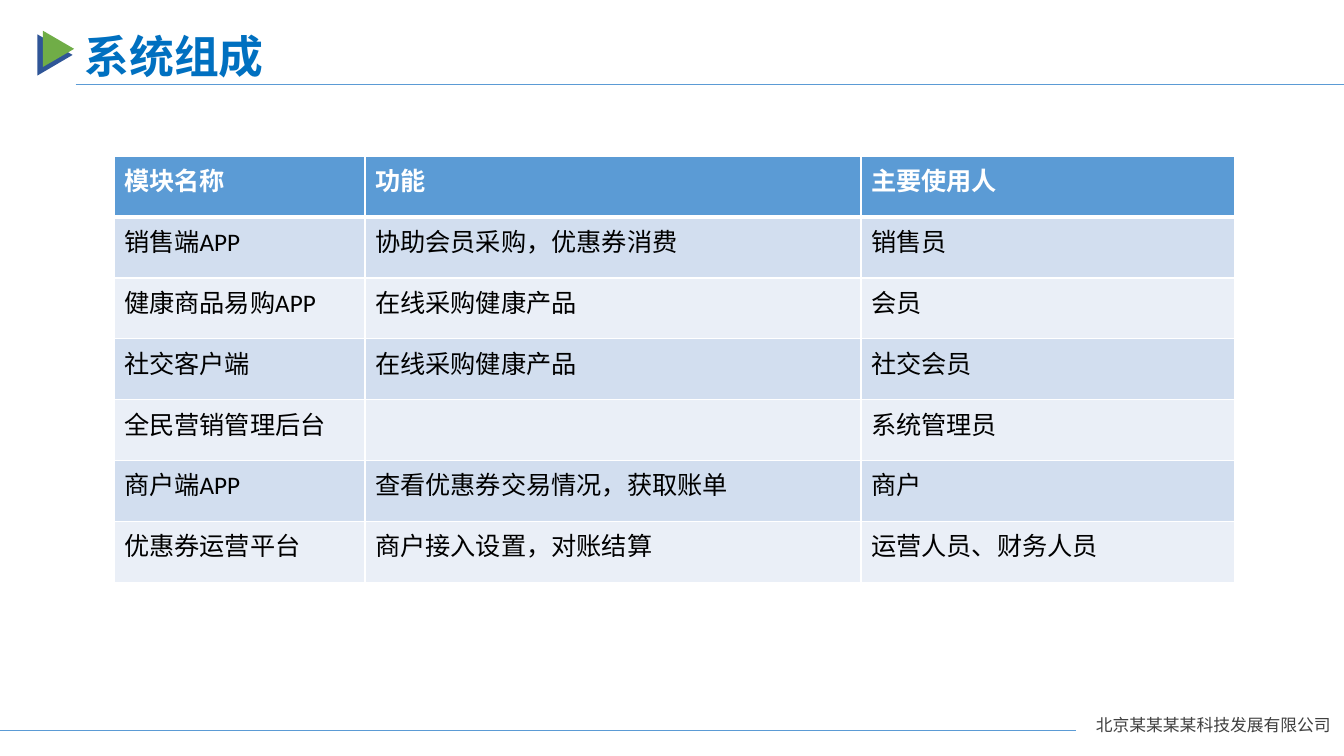
from lxml.etree import SubElement
from pptx import Presentation
from pptx.dml.color import RGBColor
from pptx.enum.shapes import MSO_CONNECTOR, MSO_SHAPE
from pptx.enum.text import MSO_AUTO_SIZE
from pptx.oxml.ns import qn
from pptx.util import Inches, Pt

WIDE, HIGH = 13.33, 7.5
CJK = "Noto Sans CJK SC"
BLUE = "5B9BD5"
WHITE = "FFFFFF"
BANDS = ["D2DEEF", "EAEFF7"]
COLS = [2.49, 4.92, 3.71]
ROWS = [
    ["模块名称", "功能", "主要使用人"],
    ["销售端APP", "协助会员采购，优惠券消费", "销售员"],
    ["健康商品易购APP", "在线采购健康产品", "会员"],
    ["社交客户端", "在线采购健康产品", "社交会员"],
    ["全民营销管理后台", "", "系统管理员"],
    ["商户端APP", "查看优惠券交易情况，获取账单", "商户"],
    ["优惠券运营平台", "商户接入设置，对账结算", "运营人员、财务人员"],
]


def color(code):
    return RGBColor.from_string(code)


def style(frame, size, code, font, bold=False):
    for para in frame.paragraphs:
        for run in para.runs:
            run.font.size = Pt(size)
            run.font.bold = bold
            run.font.name = font
            run.font.color.rgb = color(code)
            SubElement(run.font._element, qn("a:ea"), typeface=CJK)


def add_label(slide, box, text, size, code, bold=False, wrap=True):
    frame = slide.shapes.add_textbox(*map(Inches, box)).text_frame
    frame.word_wrap = wrap
    frame.auto_size = MSO_AUTO_SIZE.SHAPE_TO_FIT_TEXT
    frame.text = text
    style(frame, size, code, CJK, bold)


def add_rule(slide, left, right, top):
    """Draw a thin level line."""
    ends = map(Inches, (left, top, right, top))
    rule = slide.shapes.add_connector(MSO_CONNECTOR.STRAIGHT, *ends)
    rule.line.color.rgb = color(BLUE)
    rule.line.width = Pt(0.5)
    SubElement(rule._element.spPr, qn("a:effectLst"))


def add_arrow(slide, box, code):
    """Draw a triangle that points right; box is its place before turning."""
    arrow = slide.shapes.add_shape(MSO_SHAPE.ISOSCELES_TRIANGLE, *map(Inches, box))
    arrow.rotation = 90
    arrow.shadow.inherit = False
    arrow.fill.solid()
    arrow.fill.fore_color.rgb = color(code)
    arrow.line.fill.background()


def add_header(slide, left, top, title):
    add_arrow(slide, (left, top + 0.13, 0.41, 0.35), "2F5597")
    add_arrow(slide, (left + 0.06, top + 0.09, 0.36, 0.31), "70AD47")
    add_rule(slide, left + 0.41, WIDE, top + 0.6)
    add_label(slide, (left + 0.4, top, 6.81, 0.63), title, 32, "0070C0", bold=True)


def add_footer(slide, left, top, firm):
    add_label(slide, (left, top, WIDE - left, 0.3), firm, 12, "404040", wrap=False)
    add_rule(slide, 0, left - 0.1, top + 0.21)


def add_edges(cell, base):
    """Border a cell in white, with its own width for the lower edge."""
    props = cell._tc.get_or_add_tcPr()
    for side, width in (("L", 1), ("R", 1), ("T", 1), ("B", base)):
        edge = SubElement(props, qn(f"a:ln{side}"), w=str(Pt(width)))
        fill = SubElement(edge, qn("a:solidFill"))
        SubElement(fill, qn("a:srgbClr"), val=WHITE)


def add_grid(slide, left, top, rows, cols, step):
    box = map(Inches, (left, top, sum(cols), step * len(rows)))
    grid = slide.shapes.add_table(len(rows), len(cols), *box).table
    for col, width in zip(grid.columns, cols):
        col.width = Inches(width)
    for i, row in enumerate(rows):
        head = i == 0
        for j, text in enumerate(row):
            cell = grid.cell(i, j)
            add_edges(cell, 3 if head else 1)
            if i == 1:
                cell._tc.tcPr.find(qn("a:lnT")).set("w", str(Pt(3)))
            cell.fill.solid()
            cell.fill.fore_color.rgb = color(BLUE if head else BANDS[(i - 1) % 2])
            cell.text_frame.text = text
            style(cell.text_frame, 18, WHITE if head else "000000", "Calibri", head)


def main():
    deck = Presentation()
    deck.slide_width, deck.slide_height = Inches(WIDE), Inches(HIGH)
    slide = deck.slides.add_slide(deck.slide_layouts[6])
    add_header(slide, 0.34, 0.24, "系统组成")
    add_grid(slide, 1.13, 1.55, ROWS, COLS, 4.23 / len(ROWS))
    add_footer(slide, 10.77, 7.04, "北京某某某某科技发展有限公司")
    deck.save("out.pptx")


if __name__ == "__main__":
    main()
